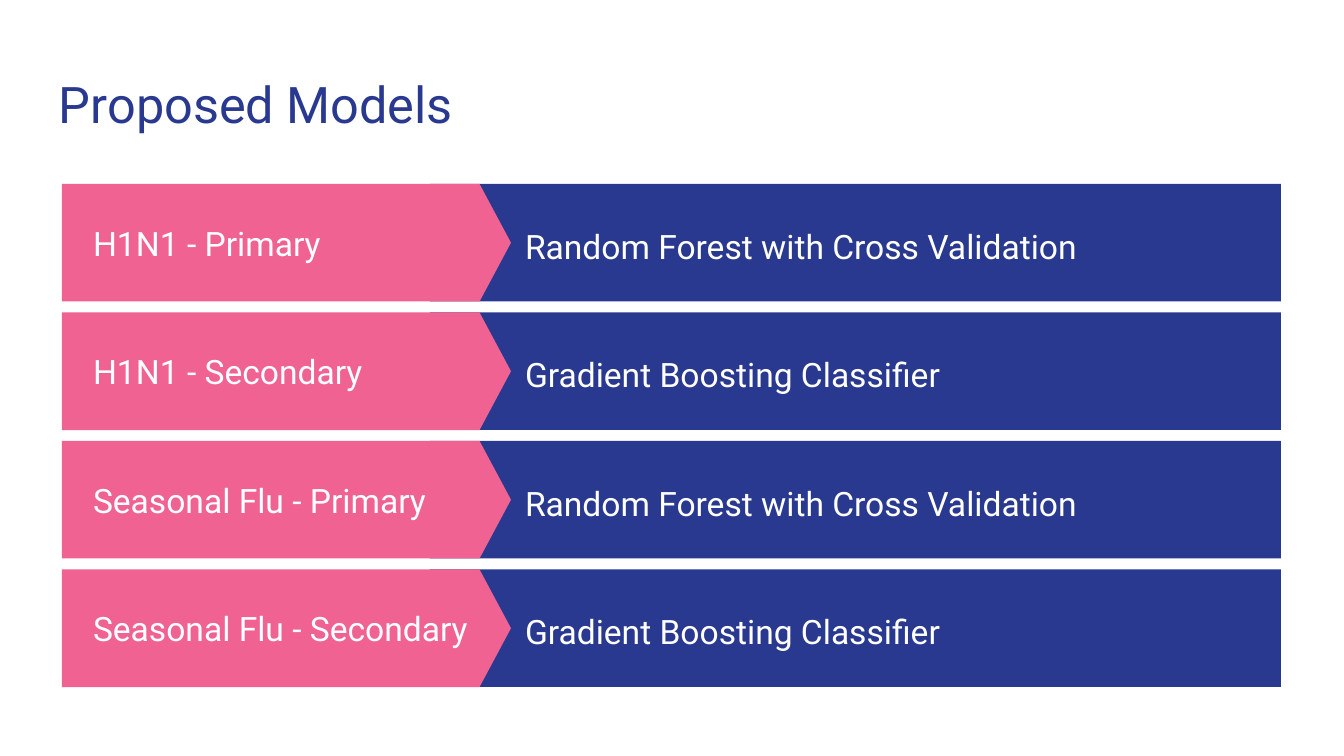
from pptx import Presentation
from pptx.dml.color import RGBColor
from pptx.enum.shapes import MSO_SHAPE
from pptx.enum.text import MSO_ANCHOR
from pptx.util import Pt

SLIDE_WIDTH, SLIDE_HEIGHT = 1344, 756
EMU_PER_PX = 9144000 / SLIDE_WIDTH
COLORS = {"navy": "2A3990", "pink": "F06292", "white": "FFFFFF"}
FONT = "Roboto"
INSET = 13
ROW_GAP = 11

MODELS = [
    ("H1N1 - Primary", "Random Forest with Cross Validation"),
    ("H1N1 - Secondary", "Gradient Boosting Classifier"),
    ("Seasonal Flu - Primary", "Random Forest with Cross Validation"),
    ("Seasonal Flu - Secondary", "Gradient Boosting Classifier"),
]


def px(length):
    return round(length * EMU_PER_PX)


def add_text(slide, box, text, size, color, anchor=MSO_ANCHOR.MIDDLE, spacing=None):
    frame = slide.shapes.add_textbox(*map(px, box)).text_frame
    frame.word_wrap = True
    frame.vertical_anchor = anchor
    frame.margin_left = frame.margin_right = px(INSET)
    frame.margin_top = frame.margin_bottom = px(INSET)
    frame.text = text
    paragraph = frame.paragraphs[0]
    paragraph.line_spacing = spacing
    font = paragraph.runs[0].font
    font.name = FONT
    font.size = Pt(size)
    font.color.rgb = RGBColor.from_string(COLORS[color])


def add_panel(slide, preset, box, color):
    panel = slide.shapes.add_shape(preset, *map(px, box))
    panel.shadow.inherit = False
    panel.fill.solid()
    panel.fill.fore_color.rgb = RGBColor.from_string(COLORS[color])
    panel.line.fill.background()
    return panel


def add_model_row(slide, box, target, model):
    """Draw a pink target arrow overlapping the navy bar that names its model."""
    left, top, width, height = box
    bar_offset, arrow_width = 368, 449
    add_panel(slide, MSO_SHAPE.RECTANGLE,
              (left + bar_offset, top, width - bar_offset, height), "navy")
    arrow = add_panel(slide, MSO_SHAPE.PENTAGON,
                      (left, top, arrow_width, height), "pink")
    arrow.adjustments[0] = 0.267
    add_text(slide, (left + 18, top, arrow_width - 18, height), target, 18, "white")
    add_text(slide, (left + arrow_width + 1, top, 751, height), model, 18, "white",
             spacing=1.15)


def add_model_list(slide, box, models):
    left, top, width, height = box
    row_height = (height - ROW_GAP * (len(models) - 1)) / len(models)
    for index, (target, model) in enumerate(models):
        row_top = top + index * (row_height + ROW_GAP)
        add_model_row(slide, (left, row_top, width, row_height), target, model)


def main():
    deck = Presentation()
    deck.slide_width, deck.slide_height = px(SLIDE_WIDTH), px(SLIDE_HEIGHT)
    slide = deck.slides.add_slide(deck.slide_layouts[6])
    add_text(slide, (46, 60, 1253, 89), "Proposed Models", 27, "navy",
             anchor=MSO_ANCHOR.TOP)
    add_model_list(slide, (62, 184, 1219, 503), MODELS)
    deck.save("out.pptx")


if __name__ == "__main__":
    main()
